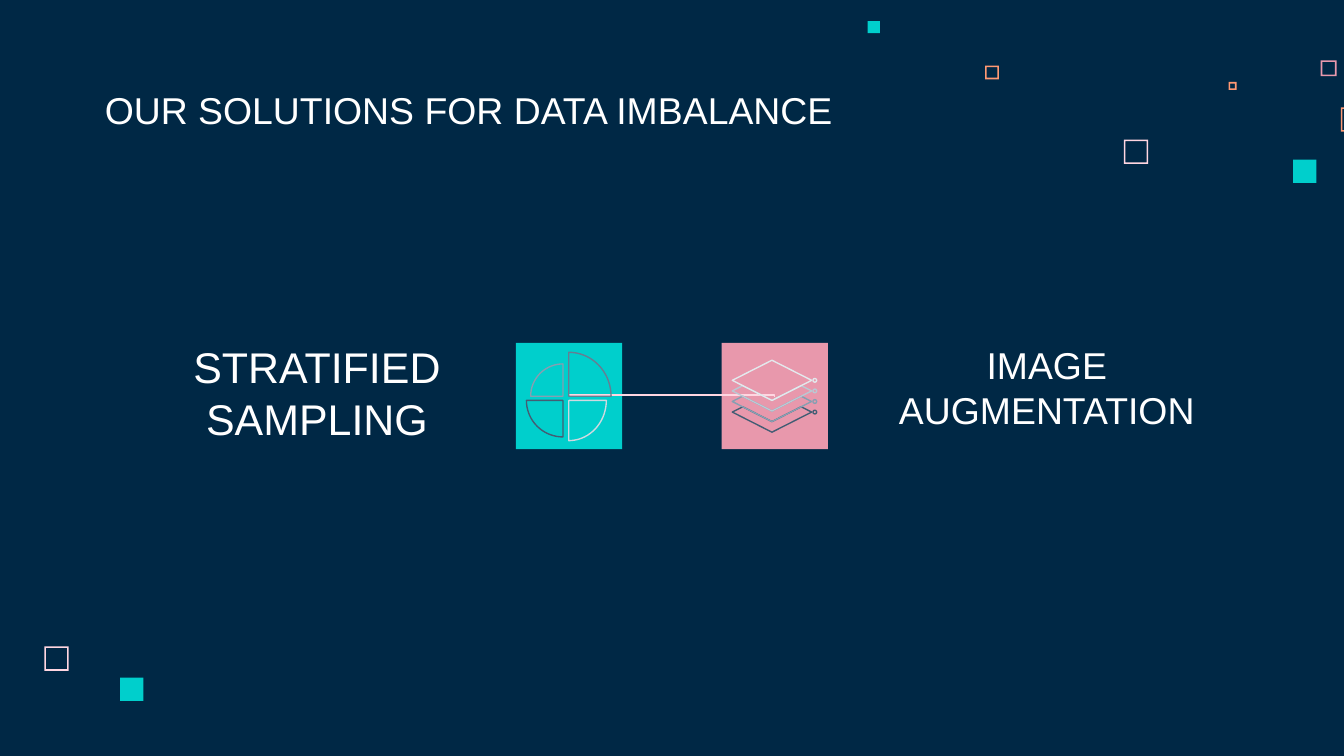
"""Build the slide on solutions for data imbalance."""
import math

import lxml.etree
import pptx
import pptx.dml.color
import pptx.enum.shapes
import pptx.enum.text
import pptx.oxml.ns
import pptx.util

Cm = pptx.util.Cm
Shape = pptx.enum.shapes.MSO_SHAPE
Align = pptx.enum.text.PP_ALIGN

COLORS = {
    "navy": "002845", "white": "FFFFFF", "teal": "00CFCC", "pink": "E898AC",
    "blush": "FFD6E1", "orange": "FF9973",
    "pie_top_right": "667E92", "pie_bottom_left": "445D73",
    "pie_bottom_right": "CFD9E0", "pie_top_left": "869FB1",
    "layer_1": "E3E9ED", "layer_2": "BAC8D3", "layer_3": "869FB2", "layer_4": "435D74",
}


class SlideStyle:
    """Hold the style and the current slide."""

    font = "Arial"
    line_width = 0.75
    frame_width = 0.03
    inset = 0.25

    def __init__(self, slide):
        self.slide = slide
        slide.background.fill.solid()
        slide.background.fill.fore_color.rgb = self.color("navy")

    def color(self, name):
        return pptx.dml.color.RGBColor.from_string(COLORS[name])

    def set_text(self, box, text, size, align):
        frame = box.text_frame
        frame.word_wrap = True
        frame.auto_size = pptx.enum.text.MSO_AUTO_SIZE.NONE
        frame.vertical_anchor = pptx.enum.text.MSO_ANCHOR.BOTTOM
        frame.margin_left = frame.margin_right = Cm(self.inset)
        frame.margin_top = frame.margin_bottom = Cm(self.inset)
        paragraph = frame.paragraphs[0]
        paragraph.alignment = align
        run = paragraph.add_run()
        run.text = text
        run.font.name = self.font
        run.font.size = pptx.util.Pt(size)
        run.font.color.rgb = self.color("white")

    def title(self, text, left, top, width, height):
        heading = self.slide.shapes.title
        heading.left, heading.top = Cm(left), Cm(top)
        heading.width, heading.height = Cm(width), Cm(height)
        self.set_text(heading, text, 20, Align.LEFT)

    def label(self, text, size, left, top, width, height):
        box = self.slide.shapes.add_textbox(Cm(left), Cm(top), Cm(width), Cm(height))
        self.set_text(box, text, size, Align.CENTER)

    def filled(self, kind, left, top, side, color):
        shape = self.slide.shapes.add_shape(kind, Cm(left), Cm(top), Cm(side), Cm(side))
        shape.shadow.inherit = False
        shape.fill.solid()
        shape.fill.fore_color.rgb = self.color(color)
        shape.line.fill.background()
        return shape

    def square(self, left, top, side, color):
        self.filled(Shape.RECTANGLE, left, top, side, color)

    def frame(self, left, top, side, color):
        frame = self.filled(Shape.FRAME, left, top, side, color)
        frame.adjustments[0] = self.frame_width / side

    def stroke(self, shape, color):
        shape.shadow.inherit = False
        shape.fill.background()
        shape.line.color.rgb = self.color(color)
        shape.line.width = pptx.util.Pt(self.line_width)

    def outline(self, points, color):
        start, *rest = [(Cm(x), Cm(y)) for x, y in points]
        builder = self.slide.shapes.build_freeform(*start)
        builder.add_line_segments(rest, close=True)
        self.stroke(builder.convert_to_shape(), color)

    def ring(self, x, y, diameter, color):
        ring = self.slide.shapes.add_shape(
            Shape.OVAL, Cm(x - diameter / 2), Cm(y - diameter / 2), Cm(diameter), Cm(diameter))
        self.stroke(ring, color)

    def quarter(self, x, y, radius_x, radius_y, color):
        arc = [math.radians(degrees) for degrees in range(0, 91, 5)]
        self.outline([(x, y)] + [(x + radius_x * math.cos(a), y + radius_y * math.sin(a))
                                 for a in arc], color)

    def elbow(self, x1, y1, x2, y2, color):
        link = self.slide.shapes.add_connector(
            pptx.enum.shapes.MSO_CONNECTOR.ELBOW, Cm(x1), Cm(y1), Cm(x2), Cm(y2))
        link.line.color.rgb = self.color(color)
        link.line.width = pptx.util.Pt(self.line_width)
        properties = link._element.spPr
        properties.find(pptx.oxml.ns.qn("a:prstGeom")).set("prst", "bentConnector2")
        lxml.etree.SubElement(properties, pptx.oxml.ns.qn("a:effectLst"))


def draw_pie(style):
    """Draw four quarter outlines; a negative radius points left or up."""
    left, right, upper, lower = 10.64, 10.75, 7.49, 7.57
    style.quarter(right, upper, 0.8, -0.83, "pie_top_right")
    style.quarter(left, lower, -0.69, 0.69, "pie_bottom_left")
    style.quarter(right, lower, 0.71, 0.76, "pie_bottom_right")
    style.quarter(left, upper, -0.61, -0.61, "pie_top_left")


def draw_layers(style):
    """Draw a diamond with three partly covered layers below it."""
    x, top, step, half_width, half_height = 14.59, 7.19, 0.2, 0.75, 0.38
    notch_x = half_width * (1 - step / 2 / half_height)
    for index in reversed(range(4)):
        y = top + index * step
        color = f"layer_{index + 1}"
        if index:
            upper_edge = [(x + notch_x, y - step / 2), (x, y + half_height - step),
                          (x - notch_x, y - step / 2)]
        else:
            upper_edge = [(x, y - half_height)]
        style.outline([(x - half_width, y), (x, y + half_height), (x + half_width, y)]
                      + upper_edge, color)
        style.ring(x + half_width + 0.06, y, 0.07, color)


def main():
    """Assemble and save the slide."""
    deck = pptx.Presentation()
    deck.slide_width, deck.slide_height = Cm(25.4), Cm(14.29)
    style = SlideStyle(deck.slides.add_slide(deck.slide_layouts[5]))

    for left, top, side, color in [
        (21.24, 2.64, 0.46, "blush"), (24.96, 1.14, 0.3, "pink"),
        (23.22, 1.55, 0.15, "orange"), (25.34, 2.03, 0.46, "orange"),
        (18.62, 1.24, 0.26, "orange"), (0.84, 12.22, 0.46, "blush"),
    ]:
        style.frame(left, top, side, color)
    for left, top, side in [(24.44, 3.02, 0.44), (16.4, 0.4, 0.23), (2.27, 12.81, 0.44)]:
        style.square(left, top, side, "teal")

    style.title("OUR SOLUTIONS FOR DATA IMBALANCE", 1.73, 1.14, 16.36, 1.6)
    style.label("IMAGE AUGMENTATION", 20, 16.38, 5.41, 6.81, 3)
    style.label("STRATIFIED SAMPLING", 23, 3.38, 5.64, 5.23, 3)

    style.square(9.75, 6.48, 2.01, "teal")
    style.square(13.64, 6.48, 2.01, "pink")
    style.elbow(10.76, 7.47, 14.64, 7.5, "blush")
    draw_pie(style)
    draw_layers(style)
    deck.save("out.pptx")


if __name__ == "__main__":
    main()
